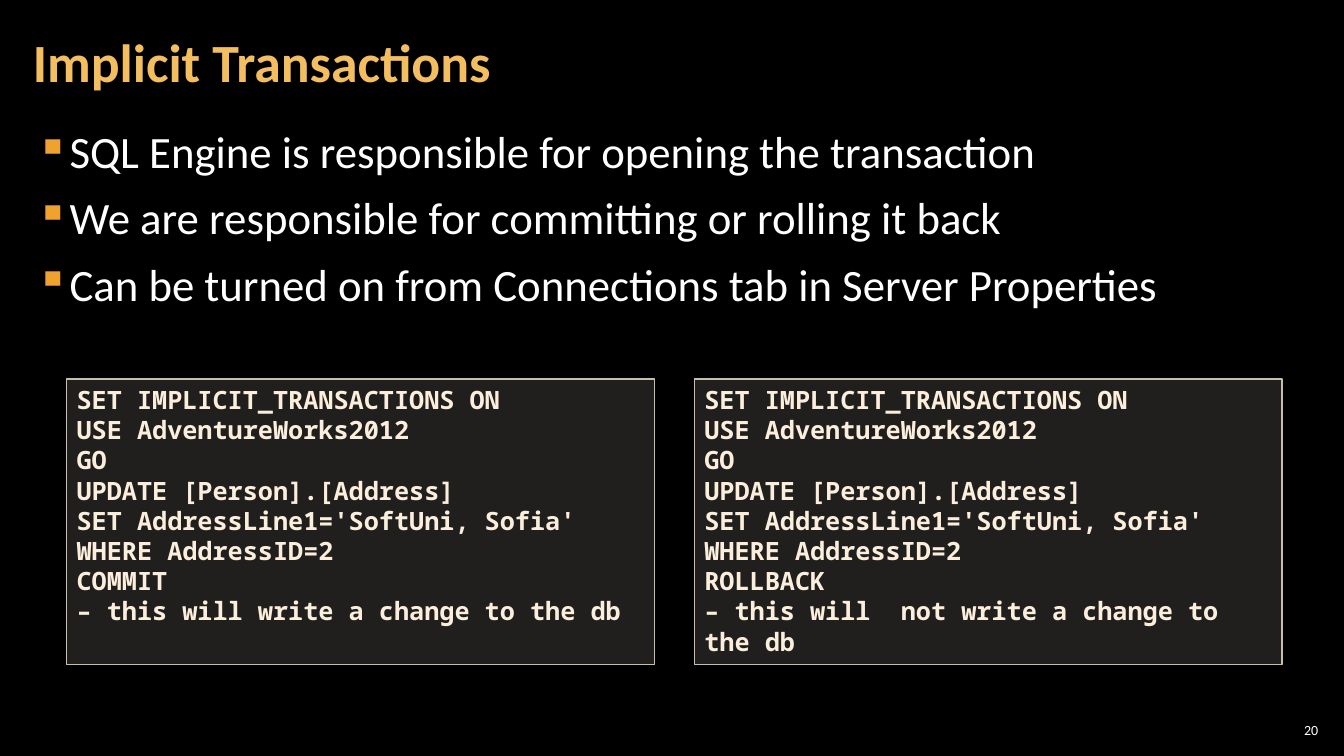
from dataclasses import dataclass

from lxml import etree
from pptx import Presentation
from pptx.dml.color import RGBColor
from pptx.enum import shapes, text
from pptx.oxml import ns
from pptx.slide import Slide
from pptx.text.text import TextFrame
from pptx.util import Cm, Pt

BLACK = RGBColor(0x00, 0x00, 0x00)
WHITE = RGBColor(0xFF, 0xFF, 0xFF)
GOLD = RGBColor(0xF3, 0xBE, 0x60)
AMBER = RGBColor(0xF0, 0xA2, 0x2E)
SAND = RGBColor(0xD9, 0xD5, 0xC7)
EDGE = RGBColor(0xC7, 0xBF, 0xAC)
CREAM = RGBColor(0xFB, 0xEE, 0xDC)


@dataclass(frozen=True)
class Style:
    font: str
    size: float
    color: RGBColor
    bold: bool = False
    align: text.PP_ALIGN = text.PP_ALIGN.LEFT
    space: float = 1.0


@dataclass(frozen=True)
class Box:
    left: float
    top: float
    width: float
    height: float
    side: float = 0.3
    edge: float = 0.1
    anchor: text.MSO_ANCHOR = text.MSO_ANCHOR.TOP

    def place(self) -> tuple[Cm, Cm, Cm, Cm]:
        return Cm(self.left), Cm(self.top), Cm(self.width), Cm(self.height)


TITLE = Style("Calibri", 38.4, GOLD, bold=True, space=0.9)
POINT = Style("Calibri", 32, WHITE, space=0.9)
CODE = Style("Noto Sans Mono", 18, CREAM, bold=True)
NUMBER = Style("Calibri", 10, WHITE, align=text.PP_ALIGN.RIGHT)

POINTS = [
    "SQL Engine is responsible for opening the transaction",
    "We are responsible for committing or rolling it back",
    "Can be turned on from Connections tab in Server Properties",
]
SHARED = [
    "SET IMPLICIT_TRANSACTIONS ON",
    "USE AdventureWorks2012",
    "GO",
    "UPDATE [Person].[Address]",
    "SET AddressLine1='SoftUni, Sofia'",
    "WHERE AddressID=2",
]
ENDINGS = [
    ["COMMIT", "– this will write a change to the db"],
    ["ROLLBACK", "– this will  not write a change to the db"],
]


def write(frame: TextFrame, box: Box, lines: list[str], style: Style) -> None:
    frame.word_wrap = True
    frame.auto_size = text.MSO_AUTO_SIZE.NONE
    frame.vertical_anchor = box.anchor
    frame.margin_left = frame.margin_right = Cm(box.side)
    frame.margin_top = frame.margin_bottom = Cm(box.edge)
    for index, line in enumerate(lines):
        para = frame.add_paragraph() if index else frame.paragraphs[0]
        para.alignment = style.align
        para.line_spacing = style.space
        run = para.add_run()
        run.text = line
        run.font.name = style.font
        run.font.size = Pt(style.size)
        run.font.bold = style.bold
        run.font.color.rgb = style.color


def label(slide: Slide, box: Box, lines: list[str], style: Style) -> TextFrame:
    frame = slide.shapes.add_textbox(*box.place()).text_frame
    write(frame, box, lines, style)
    return frame


def mark(frame: TextFrame) -> None:
    """Give each paragraph a square bullet and a hanging indent."""
    for index, para in enumerate(frame.paragraphs):
        props = para._p.get_or_add_pPr()
        props.set("marL", str(Cm(0.84)))
        props.set("indent", str(-Cm(0.84)))
        tint = etree.SubElement(props, ns.qn("a:buClr"))
        etree.SubElement(tint, ns.qn("a:srgbClr"), val=str(AMBER))
        etree.SubElement(props, ns.qn("a:buChar"), char="▪")
        para.space_before = Pt(10.8 if index else 0)
        para.space_after = Pt(1.8)


def panel(slide: Slide, box: Box, lines: list[str]) -> None:
    shape = slide.shapes.add_shape(shapes.MSO_SHAPE.RECTANGLE, *box.place())
    shape.shadow.inherit = False
    shape.fill.solid()
    shape.fill.fore_color.rgb = SAND
    tint = shape._element.spPr.find(ns.qn("a:solidFill"))[0]
    etree.SubElement(tint, ns.qn("a:alpha"), val="15000")
    shape.line.color.rgb = EDGE
    shape.line.width = Pt(1)
    write(shape.text_frame, box, lines, CODE)


def main() -> None:
    deck = Presentation()
    deck.slide_width, deck.slide_height = Cm(33.87), Cm(19.05)
    slide = deck.slides.add_slide(deck.slide_layouts[6])
    slide.background.fill.solid()
    slide.background.fill.fore_color.rgb = BLACK

    # Bullets and title
    mark(label(slide, Box(0.61, 3.18, 32.79, 15.47), POINTS, POINT))
    middle = text.MSO_ANCHOR.MIDDLE
    head = Box(0.53, 0.1, 26.59, 3.07, anchor=middle)
    label(slide, head, ["Implicit Transactions"], TITLE)

    # Code panels side by side
    for index, ending in enumerate(ENDINGS):
        left = 1.68 + index * 15.82
        box = Box(left, 9.55, 14.81, 7.19, side=0.25, edge=0.13)
        panel(slide, box, SHARED + ending)

    # Slide number
    foot = Box(32.13, 18.14, 1.19, 0.53, side=0.1, anchor=middle)
    label(slide, foot, ["20"], NUMBER)

    deck.save("out.pptx")


if __name__ == "__main__":
    main()
